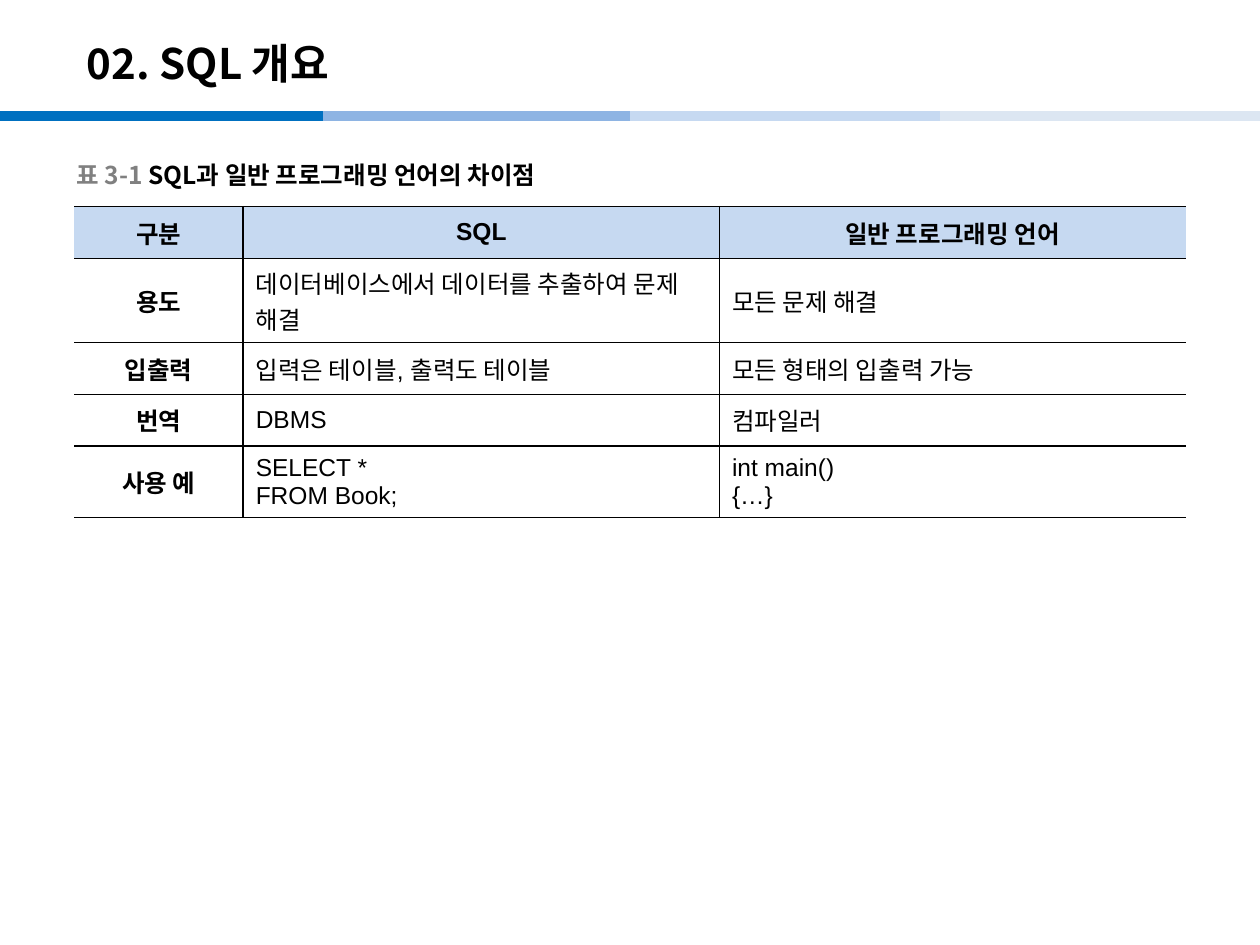
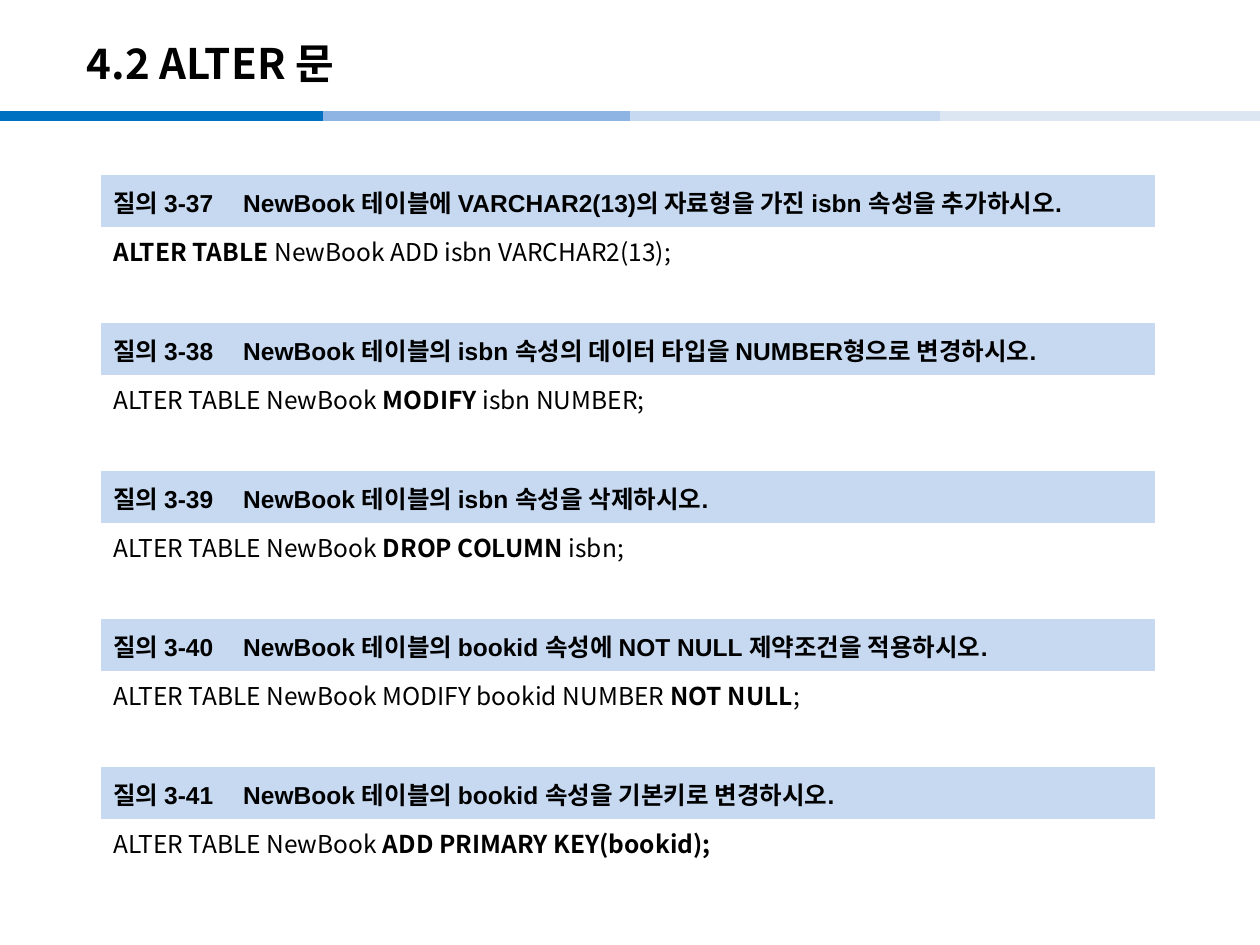
from lxml import etree
from pptx import Presentation
from pptx import util as u
from pptx.dml import color
from pptx.enum import shapes, text
from pptx.oxml import ns

BLACK = "000000"
GRAY = "808080"
WHITE = "FFFFFF"
HEADER = "C6D9F1"
SANS = "Arial"
KOREAN = "Noto Sans CJK KR"
BANDS = [(0, "0070C0"), (2.56, "8EB4E3"), (5, HEADER), (7.46, "DCE6F2")]
BAND_LENGTH = 2.56
SLIDE_WIDTH = 10
ROW_HEIGHT = 0.41
WRAPPED_ROW_HEIGHT = 0.67
CODE_ROW_HEIGHT = 0.54

COMPARISON = [
    (ROW_HEIGHT, ("구분", "SQL", "일반 프로그래밍 언어")),
    (WRAPPED_ROW_HEIGHT, ("용도", "데이터베이스에서 데이터를 추출하여 문제 해결", "모든 문제 해결")),
    (ROW_HEIGHT, ("입출력", "입력은 테이블, 출력도 테이블", "모든 형태의 입출력 가능")),
    (ROW_HEIGHT, ("번역", "DBMS", "컴파일러")),
    (CODE_ROW_HEIGHT, ("사용 예", "SELECT *\nFROM Book;", "int main()\n{…}")),
]

QUERIES = [
    ("질의 3-37\tNewBook 테이블에 VARCHAR2(13)의 자료형을 가진 isbn 속성을 추가하시오.",
     [("ALTER TABLE ", True), ("NewBook ADD isbn VARCHAR2(13);", False)]),
    ("질의 3-38\tNewBook 테이블의 isbn 속성의 데이터 타입을 NUMBER형으로 변경하시오.",
     [("ALTER TABLE NewBook ", False), ("MODIFY ", True), ("isbn NUMBER;", False)]),
    ("질의 3-39\tNewBook 테이블의 isbn 속성을 삭제하시오.",
     [("ALTER TABLE NewBook ", False), ("DROP COLUMN ", True), ("isbn;", False)]),
    ("질의 3-40\tNewBook 테이블의 bookid 속성에 NOT NULL 제약조건을 적용하시오.",
     [("ALTER TABLE NewBook MODIFY bookid NUMBER ", False), ("NOT NULL", True), (";", False)]),
    ("질의 3-41\tNewBook 테이블의 bookid 속성을 기본키로 변경하시오.",
     [("ALTER TABLE NewBook ", False), ("ADD PRIMARY KEY(bookid);", True)]),
]


def rgb(value):
    return color.RGBColor.from_string(value)


def add_element(parent, tag, **attributes):
    return etree.SubElement(parent, ns.qn(tag), attributes)


class Deck:
    def __init__(self):
        self.presentation = Presentation()
        self.presentation.slide_width = u.Inches(SLIDE_WIDTH)
        self.presentation.slide_height = u.Inches(7.5)
        self.slide = None

    def new_slide(self, title):
        self.slide = self.presentation.slides.add_slide(self.presentation.slide_layouts[6])
        for left, fill in BANDS:
            self.band(left, fill)
        self.text_box((0.59, 0.2, 8.27, 0.6), [(title, BLACK)], size=24)

    def band(self, left, fill):
        right = min(left + BAND_LENGTH, SLIDE_WIDTH)
        connector = self.slide.shapes.add_connector(
            shapes.MSO_CONNECTOR.STRAIGHT,
            u.Inches(left), u.Inches(0.92), u.Inches(right), u.Inches(0.92))
        connector.line.color.rgb = rgb(fill)
        connector.line.width = u.Pt(6)
        add_element(connector._element.spPr, "a:effectLst")

    def style_run(self, run, font=SANS, size=14, fill=BLACK, bold=True):
        run.font.size = u.Pt(size)
        run.font.bold = bold
        run.font.color.rgb = rgb(fill)
        run.font.name = font
        add_element(run._r.get_or_add_rPr(), "a:ea", typeface=KOREAN)

    def text_box(self, box, parts, size=14):
        shape = self.slide.shapes.add_textbox(*map(u.Inches, box))
        text_frame = shape.text_frame
        text_frame.word_wrap = True
        text_frame.vertical_anchor = text.MSO_ANCHOR.MIDDLE
        for words, fill in parts:
            run = text_frame.paragraphs[0].add_run()
            run.text = words
            self.style_run(run, KOREAN, size, fill)

    def table(self, left, top, widths, heights):
        frame = self.slide.shapes.add_table(
            len(heights), len(widths), u.Inches(left), u.Inches(top),
            u.Inches(sum(widths)), u.Inches(sum(heights)))
        table = frame.table
        table.first_row = table.horz_banding = False
        for column, width in zip(table.columns, widths):
            column.width = u.Inches(width)
        for row, height in zip(table.rows, heights):
            row.height = u.Inches(height)
        return table

    def format_cell(self, cell, fill, borders=""):
        properties = cell._tc.get_or_add_tcPr()
        for side in "LRTB":
            line = add_element(properties, f"a:ln{side}", w=str(u.Pt(1)))
            if side in borders:
                add_element(add_element(line, "a:solidFill"), "a:srgbClr", val=BLACK)
            else:
                add_element(line, "a:noFill")
        cell.fill.solid()
        cell.fill.fore_color.rgb = rgb(fill)
        cell.vertical_anchor = text.MSO_ANCHOR.MIDDLE

    def comparison_table(self, rows):
        heights = [height for height, _ in rows]
        table = self.table(0.59, 1.64, (1.34, 3.78, 3.7), heights)
        for row_index, (_, row) in enumerate(rows):
            for column_index, words in enumerate(row):
                heading = row_index == 0 or column_index == 0
                cell = table.cell(row_index, column_index)
                self.format_cell(cell, HEADER if row_index == 0 else WHITE,
                                 ("RTB", "LRTB", "LTB")[column_index])
                cell.text_frame.text = words
                for paragraph in cell.text_frame.paragraphs:
                    paragraph.alignment = text.PP_ALIGN.CENTER if heading else text.PP_ALIGN.LEFT
                    self.style_run(paragraph.runs[0], bold=heading)

    def query_table(self, top, question, statement):
        table = self.table(0.8, top, (8.37,), (ROW_HEIGHT, ROW_HEIGHT))
        question_cell, statement_cell = table.cell(0, 0), table.cell(1, 0)
        self.format_cell(question_cell, HEADER)
        self.format_cell(statement_cell, WHITE)
        statement_cell.vertical_anchor = text.MSO_ANCHOR.TOP

        paragraph = question_cell.text_frame.paragraphs[0]
        paragraph.text = question
        paragraph.line_spacing = u.Pt(21)
        tabs = add_element(paragraph._p.get_or_add_pPr(), "a:tabLst")
        add_element(tabs, "a:tab", pos=str(u.Inches(1.03)), algn="l")
        self.style_run(paragraph.runs[0])

        for words, bold in statement:
            run = statement_cell.text_frame.paragraphs[0].add_run()
            run.text = words
            self.style_run(run, KOREAN, bold=bold)


def main():
    deck = Deck()

    deck.new_slide("02. SQL 개요")
    deck.comparison_table(COMPARISON)
    deck.text_box((0.51, 1.23, 4.2, 0.31),
                  [("표 3-1 ", GRAY), ("SQL과 일반 프로그래밍 언어의 차이점", BLACK)])

    deck.new_slide("4.2 ALTER 문")
    first_top, last_top = 1.39, 6.09
    step = (last_top - first_top) / (len(QUERIES) - 1)
    for index, (question, statement) in enumerate(QUERIES):
        deck.query_table(first_top + index * step, question, statement)

    deck.presentation.save("out.pptx")


if __name__ == "__main__":
    main()
